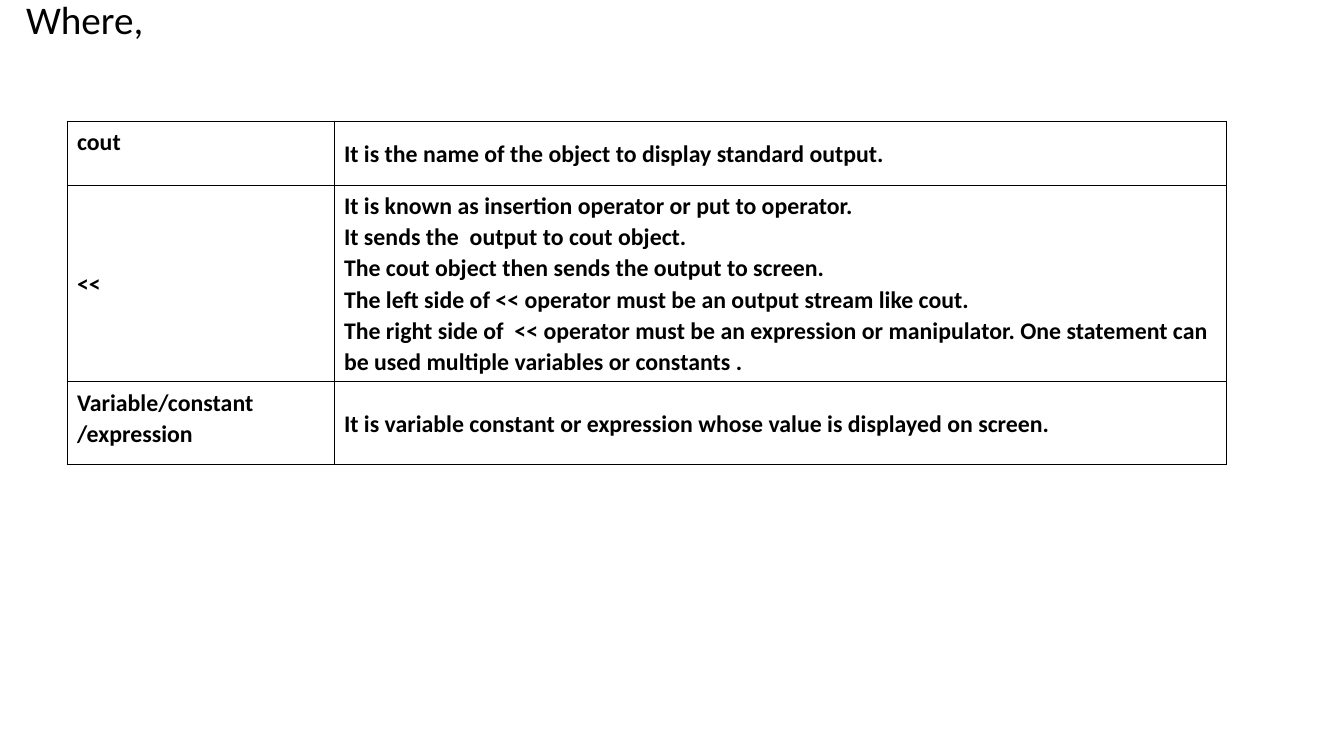
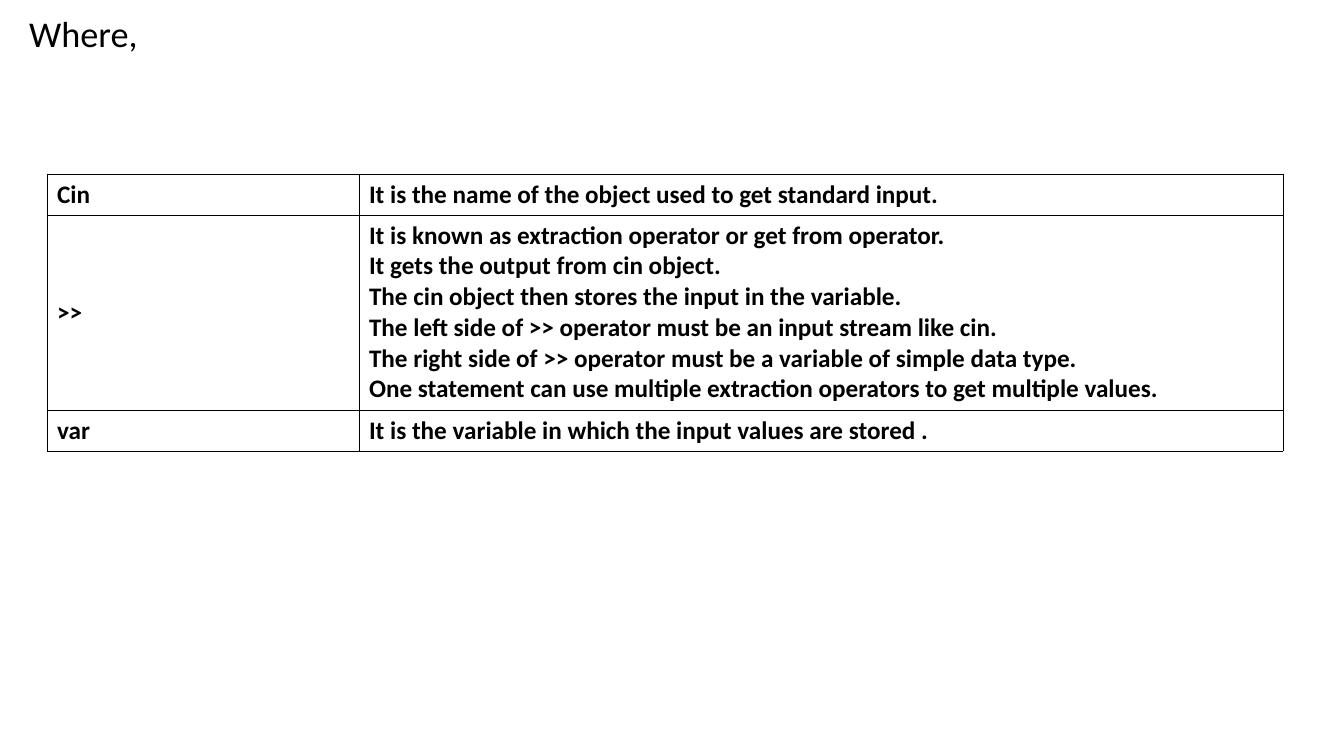
from lxml import etree
from pptx import Presentation
from pptx.dml.color import RGBColor
from pptx.enum.text import MSO_ANCHOR, MSO_AUTO_SIZE, PP_ALIGN
from pptx.oxml.ns import qn
from pptx.util import Pt

EMU_PER_PX = 914400 / 100.8
SLIDE_SIZE = (1344, 756)
FONT = "Calibri"
INK = "000000"
PAPER = "FFFFFF"
BORDER_WIDTH = Pt(0.5)
TITLE_ONLY = 5
TOP = MSO_ANCHOR.TOP
MIDDLE = MSO_ANCHOR.MIDDLE
LEFT = PP_ALIGN.LEFT
NO_AUTOFIT = MSO_AUTO_SIZE.NONE

OUTPUT_TERMS = [
    ("cout", TOP, "It is the name of the object to display standard output.", MIDDLE),
    ("<<", MIDDLE,
     "It is known as insertion operator or put to operator.\n"
     "It sends the  output to cout object.\n"
     "The cout object then sends the output to screen.\n"
     "The left side of << operator must be an output stream like cout.\n"
     "The right side of  << operator must be an expression or manipulator. "
     "One statement can be used multiple variables or constants .", TOP),
    ("Variable/constant /expression", TOP,
     "It is variable constant or expression whose value is displayed on screen.", MIDDLE),
]

INPUT_TERMS = [
    ("Cin", TOP, "It is the name of the object used to get standard input.", TOP),
    (">>", MIDDLE,
     "It is known as extraction operator or get from operator.\n"
     "It gets the output from cin object.\n"
     "The cin object then stores the input in the variable.\n"
     "The left side of >> operator must be an input stream like cin.\n"
     "The right side of >> operator must be a variable of simple data type.\n"
     "One statement can use multiple extraction operators to get multiple values.", TOP),
    ("var", TOP, "It is the variable in which the input values are stored .", TOP),
]


def px(length):
    return round(length * EMU_PER_PX)


def color(hex_value):
    return RGBColor.from_string(hex_value)


def write_text(frame, text, size, bold=False, line_spacing=1.0, space_before=0):
    frame.text = text
    for paragraph in frame.paragraphs:
        paragraph.alignment = LEFT
        paragraph.line_spacing = line_spacing
        paragraph.space_before = Pt(space_before)
        font = paragraph.runs[0].font
        font.name = FONT
        font.size = Pt(size)
        font.bold = bold
        font.color.rgb = color(INK)


def add_heading(slide, box, anchor, **text_format):
    heading = slide.shapes.title
    heading.left, heading.top, heading.width, heading.height = map(px, box)
    frame = heading.text_frame
    frame.word_wrap = True
    frame.auto_size = NO_AUTOFIT
    frame.vertical_anchor = anchor
    write_text(frame, "Where,", **text_format)


def draw_borders(cell):
    properties = cell._tc.get_or_add_tcPr()
    for side in ("a:lnL", "a:lnR", "a:lnT", "a:lnB"):
        border = etree.SubElement(properties, qn(side), w=str(BORDER_WIDTH))
        fill = etree.SubElement(border, qn("a:solidFill"))
        etree.SubElement(fill, qn("a:srgbClr"), val=INK)


def fill_cell(cell, text, anchor, **text_format):
    draw_borders(cell)
    cell.fill.solid()
    cell.fill.fore_color.rgb = color(PAPER)
    cell.vertical_anchor = anchor
    write_text(cell.text_frame, text, bold=True, **text_format)


def add_terms(slide, origin, column_widths, row_heights, terms, **text_format):
    left, top = origin
    table = slide.shapes.add_table(
        len(row_heights), len(column_widths), px(left), px(top),
        px(sum(column_widths)), px(sum(row_heights))).table
    table.first_row = False
    table.horz_banding = False
    for column, width in zip(table.columns, column_widths):
        column.width = px(width)
    for row, height, (term, term_anchor, meaning, meaning_anchor) in zip(
            table.rows, row_heights, terms):
        row.height = px(height)
        fill_cell(row.cells[0], term, term_anchor, **text_format)
        fill_cell(row.cells[1], meaning, meaning_anchor, **text_format)


def add_slide(deck):
    return deck.slides.add_slide(deck.slide_layouts[TITLE_ONLY])


def build_output_slide(deck):
    slide = add_slide(deck)
    add_heading(slide, (16, -10, 1165, 57), MIDDLE, size=28)
    add_terms(slide, (67, 121), (267, 892), (64, 196, 83), OUTPUT_TERMS,
              size=17, line_spacing=1.07)


def build_input_slide(deck):
    slide = add_slide(deck)
    add_heading(slide, (19, 15, 1302, 47), TOP, size=25.9,
                line_spacing=0.8, space_before=10)
    add_terms(slide, (47, 174), (312, 924), (41, 195, 41), INPUT_TERMS, size=18)


def main():
    deck = Presentation()
    deck.slide_width, deck.slide_height = map(px, SLIDE_SIZE)
    build_output_slide(deck)
    build_input_slide(deck)
    deck.save("out.pptx")


if __name__ == "__main__":
    main()
